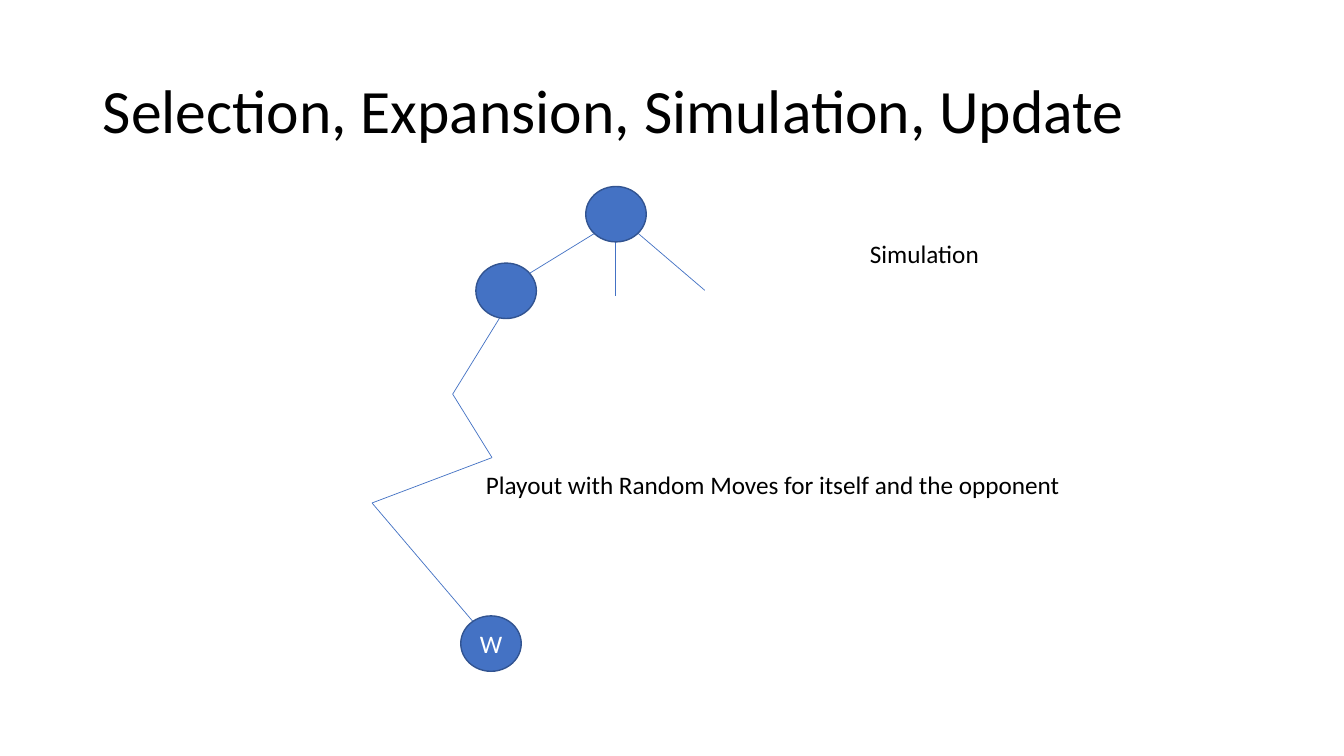
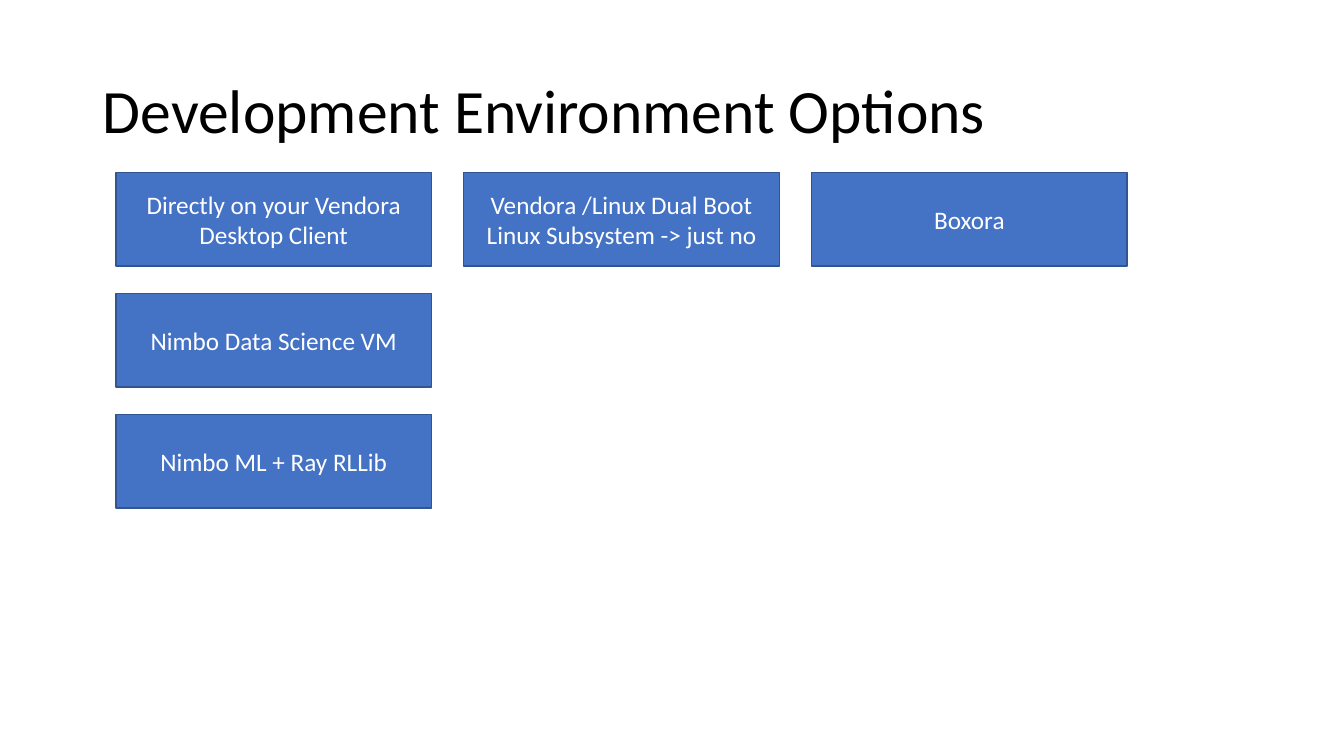
import itertools
from dataclasses import dataclass

import pptx
import pptx.dml.color
import pptx.enum.shapes
import pptx.enum.text
import pptx.oxml.ns
import pptx.util
from lxml import etree

Inches = pptx.util.Inches
Pt = pptx.util.Pt
RGB = pptx.dml.color.RGBColor
SHAPE = pptx.enum.shapes.MSO_SHAPE
ALIGN = pptx.enum.text.PP_ALIGN
ANCHOR = pptx.enum.text.MSO_ANCHOR


@dataclass(frozen=True)
class Theme:
    font: str = "Calibri"
    title_size: int = 44
    body_size: int = 18
    text: RGB = RGB(0x00, 0x00, 0x00)
    inverse: RGB = RGB(0xFF, 0xFF, 0xFF)
    accent: RGB = RGB(0x44, 0x72, 0xC4)
    outline: RGB = RGB(0x32, 0x54, 0x91)
    outline_width: float = 1
    branch_width: float = 0.5


THEME = Theme()
NODE_W, NODE_H = 0.6, 0.55


def write_text(tf, text, size=THEME.body_size, color=THEME.text,
               align=ALIGN.LEFT, anchor=ANCHOR.TOP, spacing=None):
    """Fill a text frame, one paragraph per line of text."""
    tf.word_wrap = True
    tf.auto_size = pptx.enum.text.MSO_AUTO_SIZE.NONE
    tf.vertical_anchor = anchor
    for i, line in enumerate(text.split("\n")):
        p = tf.add_paragraph() if i else tf.paragraphs[0]
        p.alignment = align
        p.line_spacing = spacing
        r = p.add_run()
        r.text = line
        r.font.name = THEME.font
        r.font.size = Pt(size)
        r.font.color.rgb = color


def add_titled_slide(prs, title):
    s = prs.slides.add_slide(prs.slide_layouts[5])
    sp = s.shapes.title
    sp.left, sp.top = Inches(0.92), Inches(0.4)
    sp.width, sp.height = Inches(11.5), Inches(1.45)
    write_text(sp.text_frame, title, size=THEME.title_size,
               anchor=ANCHOR.MIDDLE, spacing=0.9)
    return s


def add_filled_shape(s, kind, left, top, width, height, text=""):
    sp = s.shapes.add_shape(kind, Inches(left), Inches(top),
                            Inches(width), Inches(height))
    sp.shadow.inherit = False
    sp.fill.solid()
    sp.fill.fore_color.rgb = THEME.accent
    sp.line.color.rgb = THEME.outline
    sp.line.width = Pt(THEME.outline_width)
    if text:
        write_text(sp.text_frame, text, color=THEME.inverse,
                   align=ALIGN.CENTER, anchor=ANCHOR.MIDDLE)


def add_node(s, left, top, text=""):
    add_filled_shape(s, SHAPE.OVAL, left, top, NODE_W, NODE_H, text)


def add_branch(s, start, end):
    line = s.shapes.add_connector(
        pptx.enum.shapes.MSO_CONNECTOR.STRAIGHT,
        *(Inches(v) for v in (*start, *end)))
    line.line.color.rgb = THEME.accent
    line.line.width = Pt(THEME.branch_width)
    etree.SubElement(line._element.spPr, pptx.oxml.ns.qn("a:effectLst"))


def add_label(s, left, top, width, text):
    sp = s.shapes.add_textbox(Inches(left), Inches(top),
                              Inches(width), Inches(0.4))
    write_text(sp.text_frame, text)


def build_simulation(prs):
    s = add_titled_slide(prs, "Selection, Expansion, Simulation, Update")
    root_branches = [((5.89, 2.32), (5.06, 2.83)),
                     ((6.1, 2.06), (6.1, 2.94)),
                     ((6.1, 2.12), (6.99, 2.88))]
    playout = [(5.02, 3.05), (4.49, 3.91), (4.88, 4.54),
               (3.69, 4.99), (4.72, 6.2)]
    playout_branches = zip(playout, itertools.islice(playout, 1, None))
    for start, end in itertools.chain(root_branches, playout_branches):
        add_branch(s, start, end)
    add_node(s, 5.81, 1.85)
    add_node(s, 4.72, 2.61)
    add_node(s, 4.57, 6.11, "W")
    add_label(s, 8.53, 2.32, 1.3, "Simulation")
    add_label(s, 4.72, 4.61, 6.02,
              "Playout with Random Moves for itself and the opponent")


def build_options(prs):
    s = add_titled_slide(prs, "Development Environment Options")
    left, top, width, height = 1.15, 1.71, 3.13, 0.93
    col_step, row_step = 3.45, 1.2
    rows = [
        ["Directly on your Vendora Desktop Client",
         "Vendora /Linux Dual Boot\nLinux Subsystem -> just no",
         "Boxora"],
        ["Nimbo Data Science VM"],
        ["Nimbo ML + Ray RLLib"],
    ]
    for row, options in enumerate(rows):
        for col, option in enumerate(options):
            add_filled_shape(s, SHAPE.RECTANGLE, left + col * col_step,
                             top + row * row_step, width, height, option)


def main():
    prs = pptx.Presentation()
    prs.slide_width, prs.slide_height = Inches(13.33), Inches(7.5)
    build_simulation(prs)
    build_options(prs)
    prs.save("out.pptx")


if __name__ == "__main__":
    main()
